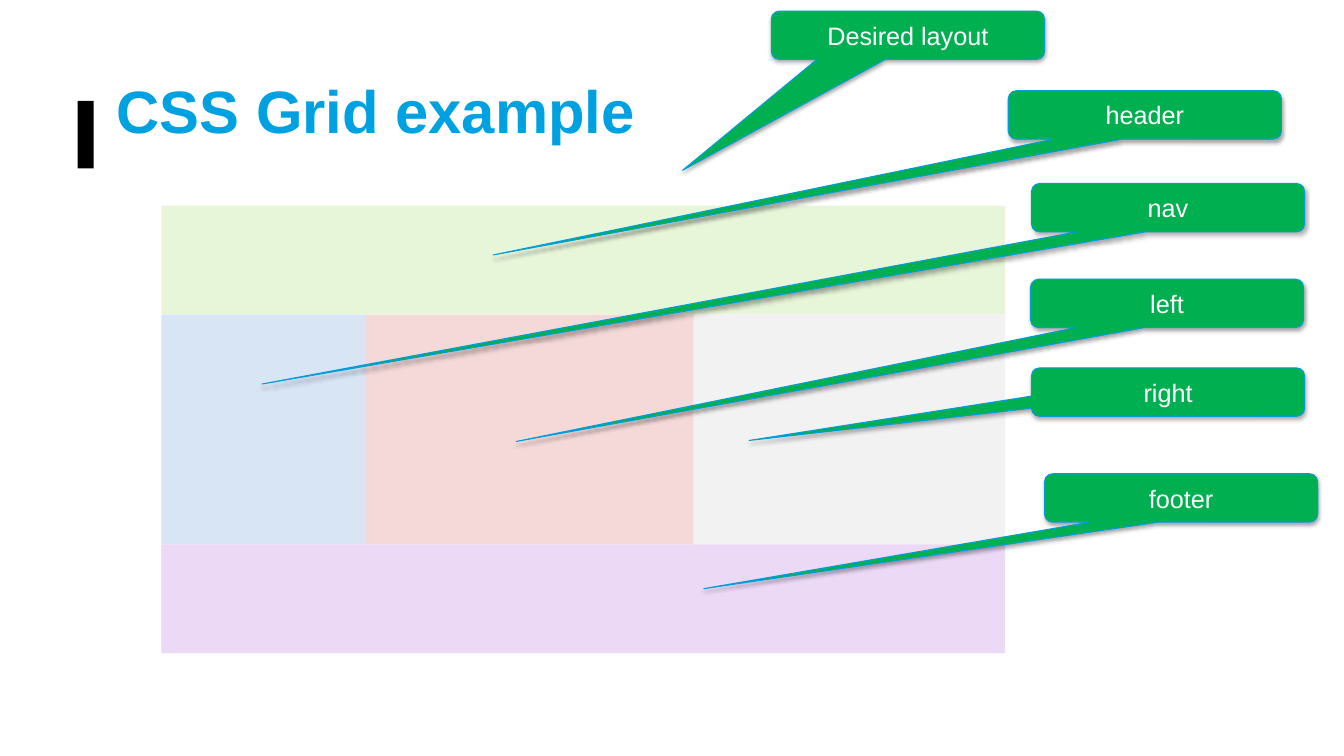
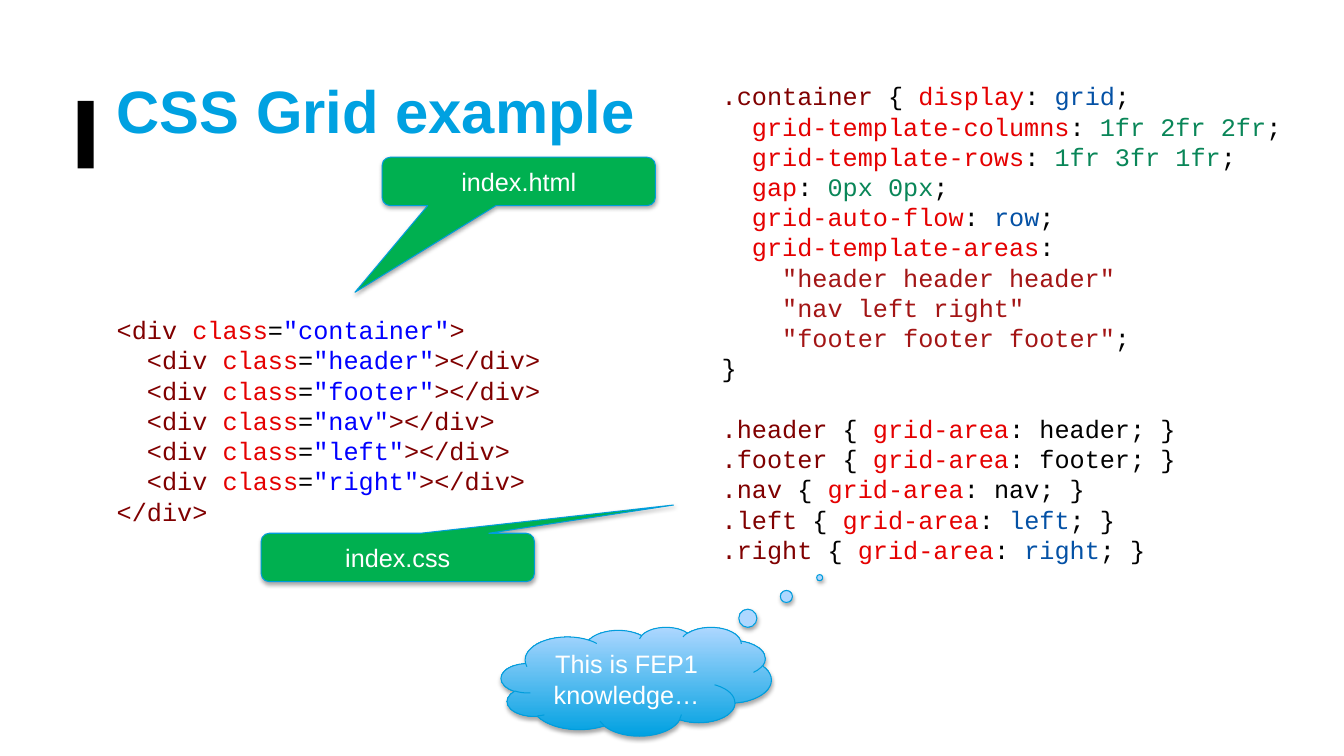
"""Build two slides that explain a CSS Grid layout."""
from dataclasses import dataclass

from lxml.etree import SubElement
from pptx import Presentation
from pptx.dml.color import RGBColor
from pptx.enum.shapes import MSO_SHAPE
from pptx.enum.text import MSO_ANCHOR, PP_ALIGN
from pptx.oxml.ns import qn
from pptx.util import Inches, Pt


@dataclass(frozen=True)
class Theme:
    sans: str = "Arial"
    mono: str = "Courier New"
    head: float = 42.7
    body: float = 18
    lead: float = 21.6
    edge: float = 0.75
    title: str = "00A1E1"
    line: str = "009DDC"
    note: str = "00B050"
    sky: str = "AED7FF"
    white: str = "FFFFFF"
    ink: str = "000000"
    tag: str = "800000"
    prop: str = "E50000"
    attr: str = "0000FF"
    word: str = "0451A5"
    num: str = "098658"
    text: str = "A31515"
    green: str = "E7F5D9"
    blue: str = "D8E5F5"
    red: str = "F5D9D9"
    grey: str = "F2F2F2"
    plum: str = "EBD9F5"

    def rgb(self, key):
        return RGBColor.from_string(getattr(self, key))


class Deck:
    def __init__(self, theme):
        self.theme = theme
        self.file = Presentation()
        self.file.slide_width = Inches(13.33)
        self.file.slide_height = Inches(7.5)
        self.slide = None

    def page(self, title):
        self.slide = self.file.slides.add_slide(self.file.slide_layouts[6])
        self.pane(0.77, 1, 0.16, 0.67, "ink")
        frame = self.frame(1.06, 0.36, 5.8, 1.45)
        frame.vertical_anchor = MSO_ANCHOR.MIDDLE
        para = frame.paragraphs[0]
        para.text = title
        self.font(para, self.theme.sans, self.theme.head, "title")
        para.font.bold = True

    def font(self, para, name, size, key):
        para.font.name = name
        para.font.size = Pt(size)
        para.font.color.rgb = self.theme.rgb(key)

    def frame(self, *box):
        frame = self.slide.shapes.add_textbox(*map(Inches, box)).text_frame
        frame.word_wrap = True
        return frame

    def shape(self, kind, *box):
        shape = self.slide.shapes.add_shape(kind, *map(Inches, box))
        shape.shadow.inherit = False
        return shape

    def pane(self, left, top, width, height, key):
        pane = self.shape(MSO_SHAPE.RECTANGLE, left, top, width, height)
        pane.fill.solid()
        pane.fill.fore_color.rgb = self.theme.rgb(key)
        pane.line.fill.background()

    def shade(self, shape):
        list_ = shape._element.spPr.find(qn("a:effectLst"))
        cast = SubElement(list_, qn("a:outerShdw"), blurRad=str(Pt(3.1)),
                          dist=str(Pt(1.8)), dir="5400000", rotWithShape="0")
        tint = SubElement(cast, qn("a:srgbClr"), val=self.theme.ink)
        SubElement(tint, qn("a:alpha"), val="35000")

    def bubble(self, kind, label, left, top, width, height, tip):
        shape = self.shape(kind, left, top, width, height)
        shape.adjustments[0] = (tip[0] - left) / width - 0.5
        shape.adjustments[1] = (tip[1] - top) / height - 0.5
        shape.line.color.rgb = self.theme.rgb("line")
        shape.line.width = Pt(self.theme.edge)
        self.shade(shape)
        frame = shape.text_frame
        frame.word_wrap = True
        frame.vertical_anchor = MSO_ANCHOR.MIDDLE
        para = frame.paragraphs[0]
        para.text = label
        para.alignment = PP_ALIGN.CENTER
        self.font(para, self.theme.sans, self.theme.body, "white")
        return shape

    def note(self, label, left, top, tip):
        kind = MSO_SHAPE.ROUNDED_RECTANGULAR_CALLOUT
        note = self.bubble(kind, label, left, top, 2.71, 0.48, tip)
        note.fill.solid()
        note.fill.fore_color.rgb = self.theme.rgb("note")

    def cloud(self, label, left, top, tip):
        kind = MSO_SHAPE.CLOUD_CALLOUT
        cloud = self.bubble(kind, label, left, top, 2.68, 1.08, tip)
        cloud.fill.gradient()
        cloud.fill.gradient_angle = 90
        for stop, key in zip(cloud.fill.gradient_stops, ("title", "sky")):
            stop.color.rgb = self.theme.rgb(key)

    def code(self, box, blocks):
        frame = self.frame(*box)
        para = None
        for block in blocks:
            for row, (depth, parts) in enumerate(block):
                first = para is None
                para = frame.paragraphs[0] if first else frame.add_paragraph()
                self.font(para, self.theme.mono, self.theme.body, "ink")
                para.line_spacing = Pt(self.theme.lead)
                if row == 0 and not first:
                    para.space_before = Pt(self.theme.lead)
                para._p.get_or_add_pPr().set("marL", str(Inches(0.3 * depth)))
                for key, text in parts:
                    run = para.add_run()
                    run.text = text
                    run.font.color.rgb = self.theme.rgb(key)


def div(name, end="></div>"):
    return [("tag", "<div "), ("prop", "class"), ("ink", "="),
            ("attr", f'"{name}"'), ("tag", end)]


def rule(prop, key, value):
    return [("prop", prop), ("ink", ": "), (key, value), ("ink", ";")]


def style(name, body, end=" }"):
    return [("tag", f".{name}"), ("ink", " { "), *body, ("ink", end)]


def layout(deck):
    deck.page("CSS Grid example")
    cols = (1.6, 3.63, 6.88, 9.97)
    rows = (2.04, 3.12, 5.4, 6.48)
    for row, start, end, key in ((0, 0, 3, "green"), (1, 0, 1, "blue"),
                                 (1, 1, 2, "red"), (1, 2, 3, "grey"),
                                 (2, 0, 3, "plum")):
        deck.pane(cols[start], rows[row], cols[end] - cols[start],
                  rows[row + 1] - rows[row], key)
    for note in (("header", 10, 0.9, (4.89, 2.53)),
                 ("nav", 10.23, 1.82, (2.6, 3.81)),
                 ("left", 10.22, 2.77, (5.12, 4.38)),
                 ("right", 10.23, 3.65, (7.43, 4.37)),
                 ("footer", 10.36, 4.7, (6.98, 5.84)),
                 ("Desired layout", 7.65, 0.11, (6.77, 1.69))):
        deck.note(*note)


def source(deck):
    deck.page("CSS Grid example")
    names = ("header", "footer", "nav", "left", "right")
    html = [(0, div("container", ">")), *((1, div(name)) for name in names),
            (0, [("tag", "</div>")])]
    deck.code((1.06, 3.07, 4.47, 2.22), [html])

    grid = [
        (0, style("container", rule("display", "word", "grid")[:-1], ";")),
        (1, rule("grid-template-columns", "num", "1fr 2fr 2fr")),
        (1, rule("grid-template-rows", "num", "1fr 3fr 1fr")),
        (1, rule("gap", "num", "0px 0px")),
        (1, rule("grid-auto-flow", "word", "row")),
        (1, [("prop", "grid-template-areas"), ("ink", ":")]),
        (2, [("text", '"header header header"')]),
        (2, [("text", '"nav left right"')]),
        (2, [("text", '"footer footer footer"'), ("ink", ";")]),
        (0, [("ink", "}")]),
    ]
    areas = []
    for name in names:
        key = "word" if name in ("left", "right") else "ink"
        areas.append((0, style(name, rule("grid-area", key, name))))
    deck.code((7.06, 0.75, 5.85, 5.25), [grid, areas])

    deck.note("index.html", 3.79, 1.56, (3.52, 2.9))
    deck.note("index.css", 2.59, 5.29, (6.68, 5.01))
    deck.cloud("This is FEP1 knowledge…", 4.97, 6.22, (8.13, 5.73))


def main():
    deck = Deck(Theme())
    layout(deck)
    source(deck)
    deck.file.save("out.pptx")


if __name__ == "__main__":
    main()
